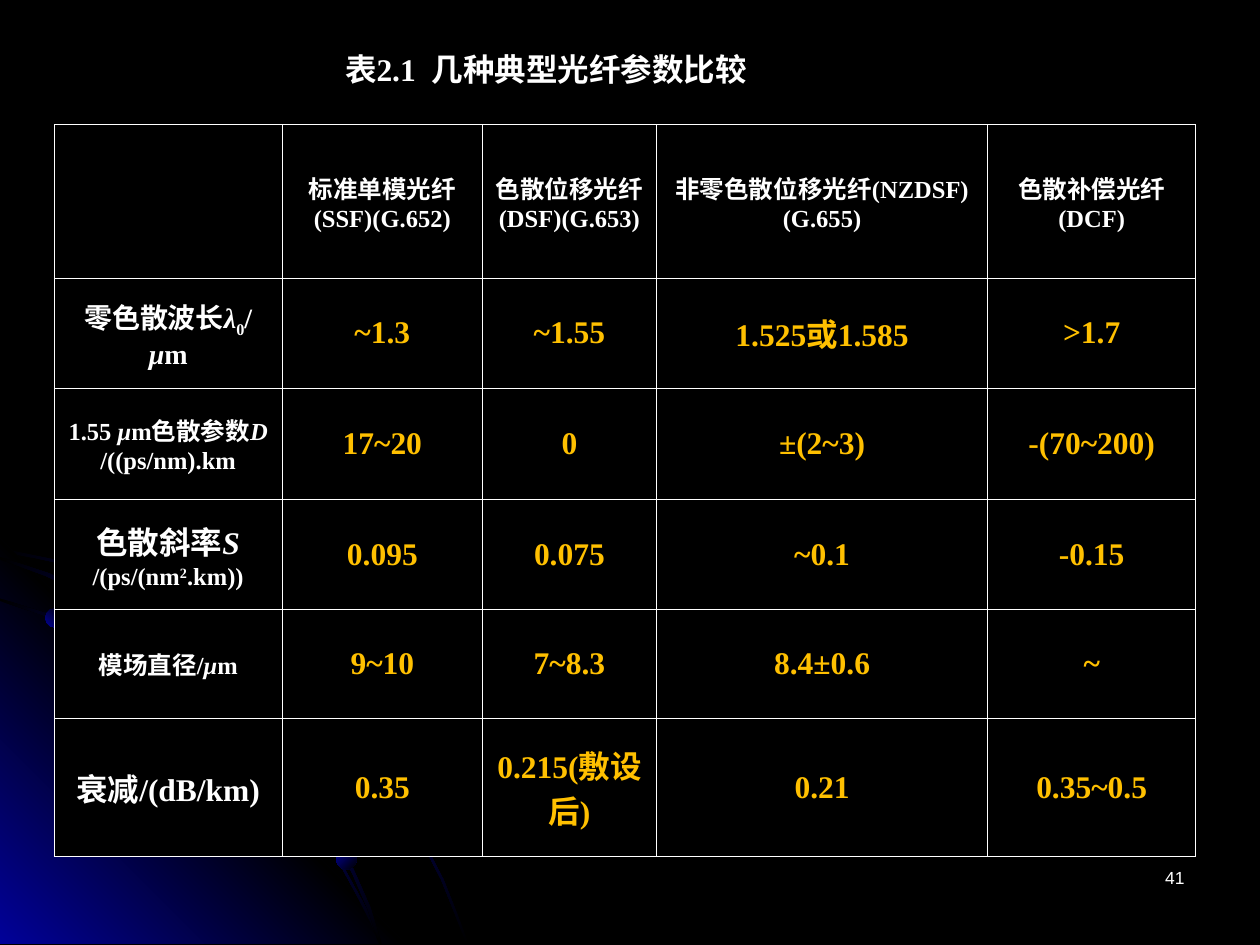
import lxml.etree
import pptx
import pptx.dml.color
import pptx.enum.shapes
import pptx.enum.text
import pptx.oxml.ns
import pptx.util
from dataclasses import dataclass

Inches = pptx.util.Inches
Pt = pptx.util.Pt
qn = pptx.oxml.ns.qn
RGB = pptx.dml.color.RGBColor.from_string
ALIGN = pptx.enum.text.PP_ALIGN
ANCHOR = pptx.enum.text.MSO_ANCHOR


@dataclass(frozen=True)
class Theme:
    background: str = "000000"
    text: str = "FFFFFF"
    value: str = "FFC000"
    glow: str = "010199"
    font: str = "Times New Roman"
    number_font: str = "Arial"
    large: int = 18
    medium: int = 16
    small: int = 14
    number: int = 10
    border: float = 0.45


THEME = Theme()


def write_text(frame, paragraphs, *, size, color=THEME.text, font=THEME.font,
               bold=True, align=ALIGN.CENTER):
    """Fill a frame; each paragraph is a string or a list of strings and (text, format) pairs."""
    frame.word_wrap = True
    for index, parts in enumerate(paragraphs):
        paragraph = frame.paragraphs[0] if index == 0 else frame.add_paragraph()
        paragraph.alignment = align
        for part in [parts] if isinstance(parts, str) else parts:
            text, own = (part, {}) if isinstance(part, str) else part
            run = paragraph.add_run()
            run.text = text
            run.font.name = font
            run.font.size = Pt(own.get("size", size))
            run.font.bold = bold
            run.font.italic = own.get("italic", False)
            run.font.color.rgb = RGB(color)
            if "baseline" in own:
                run._r.get_or_add_rPr().set("baseline", str(own["baseline"] * 1000))


class SlideBuilder:
    def __init__(self, slide, theme):
        self.slide = slide
        self.theme = theme
        background = slide.background.fill
        background.solid()
        background.fore_color.rgb = RGB(theme.background)

    def shade(self, shape, colors, angle):
        """Give a borderless shape evenly spaced gradient stops; angle is counterclockwise."""
        shape.shadow.inherit = False
        shape.line.fill.background()
        shape.fill.gradient()
        shape.fill.gradient_angle = angle
        stops = shape._element.spPr.find(qn("a:gradFill")).find(qn("a:gsLst"))
        for stop in list(stops):
            stops.remove(stop)
        for index, color in enumerate(colors):
            position = 100000 * index // (len(colors) - 1)
            stop = lxml.etree.SubElement(stops, qn("a:gs"), pos=str(position))
            lxml.etree.SubElement(stop, qn("a:srgbClr"), val=color)

    def outline(self, points, colors, angle):
        start, *rest = [(Inches(x), Inches(y)) for x, y in points]
        builder = self.slide.shapes.build_freeform(*start, scale=1.0)
        builder.add_line_segments(rest, close=True)
        self.shade(builder.convert_to_shape(), colors, angle)

    def dot(self, left, top, size, angle):
        shape = self.slide.shapes.add_shape(
            pptx.enum.shapes.MSO_SHAPE.OVAL,
            Inches(left), Inches(top), Inches(size), Inches(size))
        self.shade(shape, [self.theme.glow, self.theme.background], angle)

    def text_box(self, left, top, width, height, text, anchor=ANCHOR.TOP, **style):
        box = self.slide.shapes.add_textbox(
            Inches(left), Inches(top), Inches(width), Inches(height))
        box.text_frame.vertical_anchor = anchor
        write_text(box.text_frame, [text], **style)

    def border(self, cell):
        properties = cell._tc.get_or_add_tcPr()
        for side in ("a:lnL", "a:lnR", "a:lnT", "a:lnB"):
            line = lxml.etree.SubElement(
                properties, qn(side), w=str(Pt(self.theme.border)))
            fill = lxml.etree.SubElement(line, qn("a:solidFill"))
            lxml.etree.SubElement(fill, qn("a:srgbClr"), val=self.theme.text)

    def table(self, left, top, widths, heights, rows):
        table = self.slide.shapes.add_table(
            len(heights), len(widths), Inches(left), Inches(top),
            Inches(sum(widths)), Inches(sum(heights))).table
        table.first_row = table.horz_banding = False
        for column, width in zip(table.columns, widths):
            column.width = Inches(width)
        for row, height in zip(table.rows, heights):
            row.height = Inches(height)
        for r, contents in enumerate(rows):
            for c, (paragraphs, style) in enumerate(contents):
                cell = table.cell(r, c)
                cell.vertical_anchor = ANCHOR.MIDDLE
                self.border(cell)
                cell.fill.solid()
                cell.fill.fore_color.rgb = RGB(self.theme.background)
                write_text(cell.text_frame, paragraphs, **style)


# Background arcs: far edge, then back along the near edge
ARCS = [
    [(0.57, 4.47), (0.28, 4.41), (0, 4.35), (0, 4.38), (0.28, 4.43), (0.56, 4.49),
     (0.97, 4.61), (1.35, 4.78), (1.73, 4.99), (2.08, 5.23), (2.41, 5.49),
     (2.71, 5.79), (2.98, 6.12), (3.23, 6.49), (3.37, 6.73), (3.5, 6.98),
     (3.6, 7.23), (3.7, 7.49), (3.72, 7.49), (3.62, 7.23), (3.52, 6.98),
     (3.39, 6.73), (3.25, 6.48), (3, 6.11), (2.72, 5.78), (2.42, 5.48),
     (2.09, 5.21), (1.74, 4.97), (1.36, 4.77), (0.98, 4.59)],
    [(2.85, 7.14), (2.94, 7.32), (3.01, 7.49), (3.03, 7.49), (2.96, 7.3),
     (2.86, 7.12), (2.66, 6.76), (2.42, 6.4), (2.15, 6.06), (1.84, 5.76),
     (1.52, 5.49), (1.17, 5.26), (0.79, 5.05), (0.41, 4.88), (0, 4.75),
     (0, 4.77), (0.39, 4.9), (0.77, 5.07), (1.15, 5.28), (1.5, 5.51),
     (1.83, 5.78), (2.13, 6.08), (2.4, 6.42), (2.65, 6.77)],
    [(0, 4.42), (0, 4.44), (0.36, 4.57), (0.74, 4.75), (1.09, 4.94), (1.42, 5.18),
     (1.73, 5.44), (2.02, 5.75), (2.27, 6.05), (2.52, 6.41), (2.67, 6.67),
     (2.8, 6.94), (2.92, 7.22), (3.01, 7.49), (3.03, 7.49), (2.94, 7.2),
     (2.82, 6.93), (2.69, 6.65), (2.54, 6.39), (2.29, 6.03), (2.04, 5.73),
     (1.75, 5.43), (1.44, 5.16), (1.11, 4.93), (0.76, 4.73), (0.39, 4.55)],
]
CORNER = [(3.22, 7.49), (0, 7.49), (0, 4.27)]
DOTS = [(0.36, 4.83, 0.15, 45), (2.67, 6.74, 0.16, 315), (1.37, 4.73, 0.21, 45)]

# Table content
ITALIC = {"italic": True}
MU = ("μ", ITALIC)
FIBRES = [
    [],
    ["标准单模光纤(SSF)(G.652)"],
    ["色散位移光纤", "(DSF)(G.653)"],
    ["非零色散位移光纤(NZDSF)", "(G.655)"],
    ["色散补偿光纤", "(DCF)"],
]
SMALL = {"size": THEME.small}
PARAMETERS = [
    ([["零色散波长", ("λ", ITALIC), ("0", {"baseline": -25}), "/", MU, "m"]],
     THEME.medium, ["~1.3", "~1.55", "1.525或1.585", ">1.7"]),
    ([["1.55 ", MU, "m色散参数", ("D", ITALIC)], "/((ps/nm).km"],
     THEME.small, ["17~20", "0", "±(2~3)", "-(70~200)"]),
    ([["色散斜率", ("S", ITALIC)],
      [("/(ps/(nm", SMALL), ("2", {"baseline": 30, **SMALL}), (".km))", SMALL)]],
     THEME.large, ["0.095", "0.075", "~0.1", "-0.15"]),
    ([["模场直径/", MU, "m"]],
     THEME.small, ["9~10", "7~8.3", "8.4±0.6", "~"]),
    (["衰减/(dB/km)"],
     THEME.large, ["0.35", "0.215(敷设后)", "0.21", "0.35~0.5"]),
]


def main():
    deck = pptx.Presentation()
    deck.slide_width, deck.slide_height = Inches(10), Inches(7.5)
    page = SlideBuilder(deck.slides.add_slide(deck.slide_layouts[6]), THEME)

    # Glowing corner with its arcs and dots
    dark, glow = THEME.background, THEME.glow
    page.outline(ARCS[0], [dark, glow, dark], 315)
    page.outline(CORNER, [glow, dark, glow], 45)
    for arc in ARCS[1:]:
        page.outline(arc, [dark, glow, dark], 315)
    for dot in DOTS:
        page.dot(*dot)

    # Slide number and title
    page.text_box(7.17, 6.83, 2.33, 0.5, "41", size=THEME.number,
                  font=THEME.number_font, bold=False, align=ALIGN.RIGHT)
    page.text_box(2.64, 0.35, 6.14, 0.4, "表2.1  几种典型光纤参数比较",
                  anchor=ANCHOR.MIDDLE, size=THEME.large, align=ALIGN.LEFT)

    # Fibre comparison
    value_style = {"size": THEME.large, "color": THEME.value}
    rows = [[(fibre, SMALL) for fibre in FIBRES]]
    for label, label_size, values in PARAMETERS:
        rows.append([(label, {"size": label_size})]
                    + [([value], value_style) for value in values])
    page.table(0.43, 0.99, [1.81, 1.59, 1.38, 2.63, 1.65],
               [1.22, 0.87, 0.88, 0.88, 0.86, 1.1], rows)

    deck.save("out.pptx")


if __name__ == "__main__":
    main()
